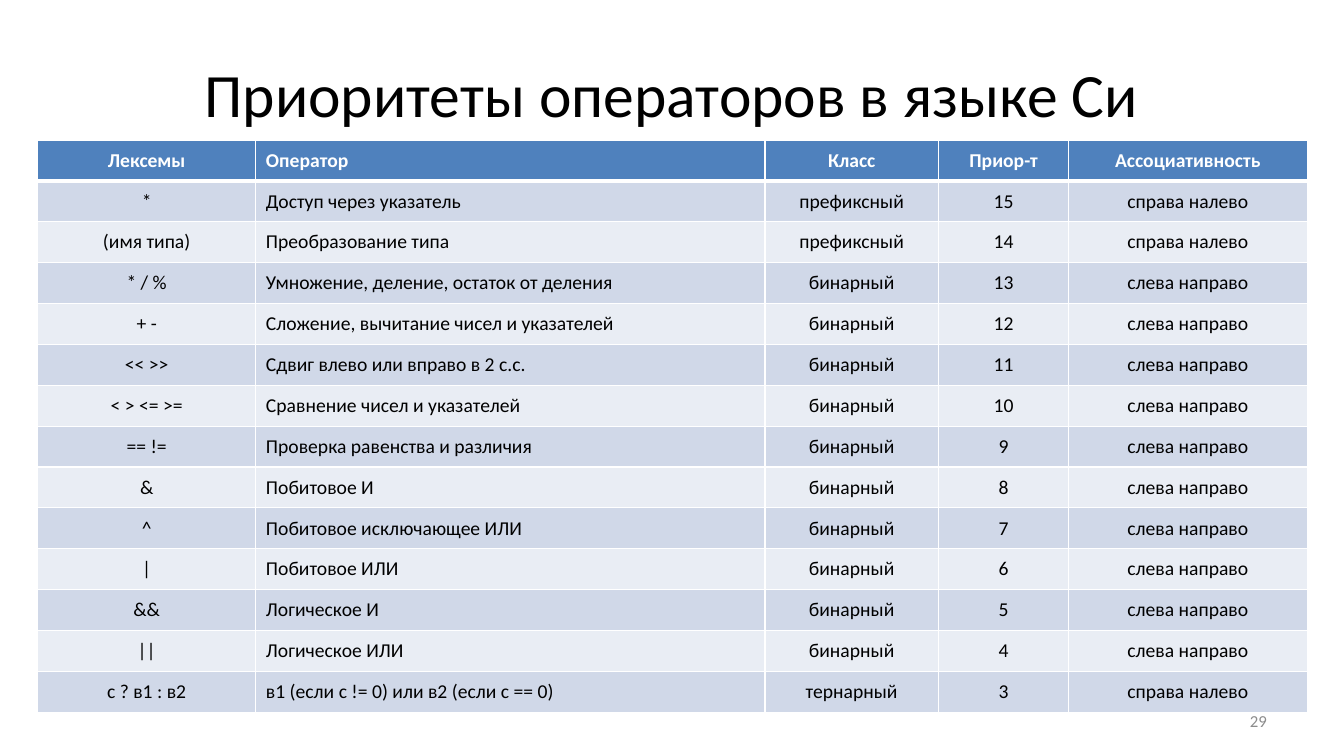
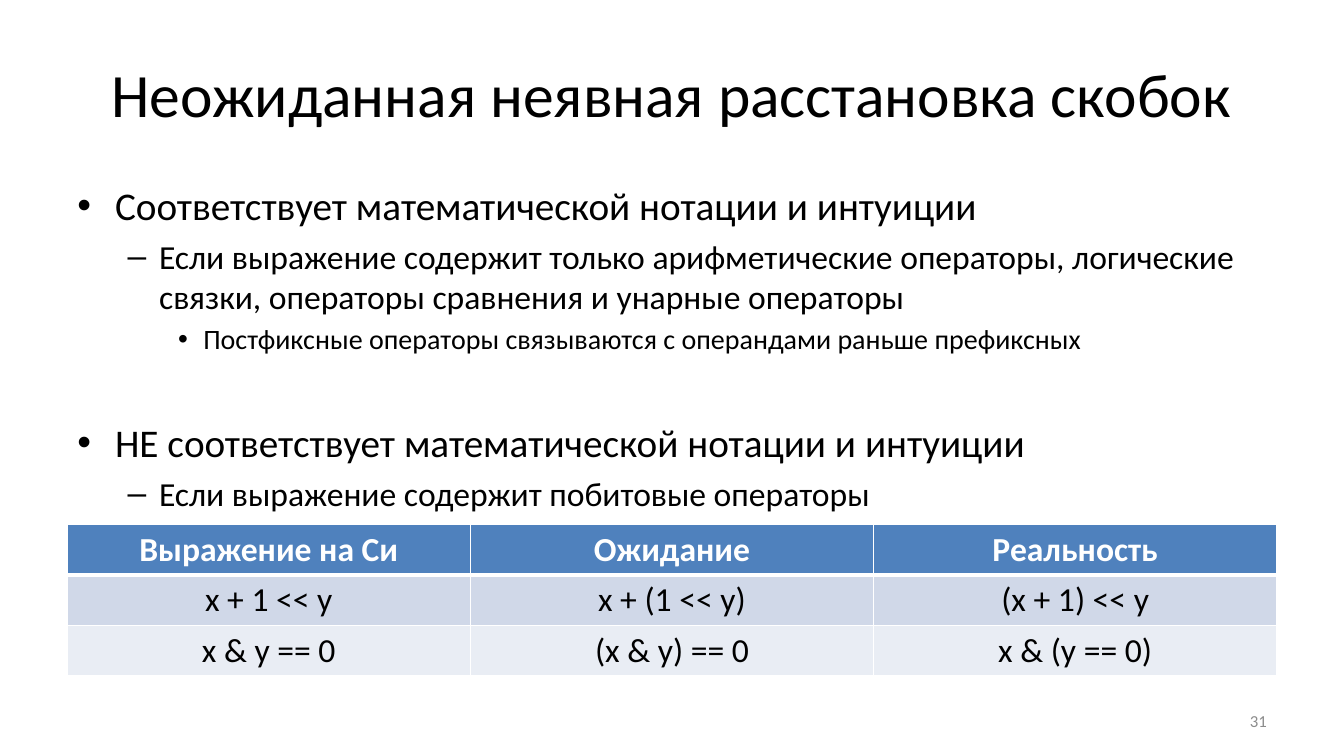
from lxml import etree
from pptx import Presentation
from pptx.dml.color import RGBColor
from pptx.enum.text import MSO_ANCHOR, MSO_AUTO_SIZE, PP_ALIGN
from pptx.oxml.ns import qn
from pptx.util import Pt

LEFT, CENTER, RIGHT = PP_ALIGN.LEFT, PP_ALIGN.CENTER, PP_ALIGN.RIGHT
TOP, MIDDLE = MSO_ANCHOR.TOP, MSO_ANCHOR.MIDDLE
NO_AUTOFIT = MSO_AUTO_SIZE.NONE

TITLE_ONLY, TITLE_AND_BODY = 5, 1  # layout positions in the template
MARGIN, CONTENT_WIDTH = 48, 864
FONT = "Calibri"
COLORS = {
    "text": "000000",
    "white": "FFFFFF",
    "header": "4F81BD",
    "odd_row": "D0D8E8",
    "even_row": "E9EDF4",
    "number": "8C8C8C",
}
BODY_SIZES = (28, 24, 20)  # by list level


class Deck:
    """Holds the shared style and the current slide."""

    def __init__(self):
        self.presentation = Presentation()
        self.presentation.slide_width = Pt(960)
        self.presentation.slide_height = Pt(540)
        self.slide = None

    def style(self, paragraph, size, color="text", bold=False):
        for run in paragraph.runs:
            run.font.name = FONT
            run.font.size = Pt(size)
            run.font.bold = bold
            run.font.color.rgb = RGBColor.from_string(COLORS[color])

    def place(self, shape, left, top, width, height):
        shape.left, shape.top = Pt(left), Pt(top)
        shape.width, shape.height = Pt(width), Pt(height)

    def add_slide(self, layout, title, number):
        layouts = self.presentation.slide_layouts
        self.slide = self.presentation.slides.add_slide(layouts[layout])
        self.add_title(title)
        self.add_number(number)

    def add_title(self, text):
        shape = self.slide.shapes.title
        self.place(shape, MARGIN, 21.6, CONTENT_WIDTH, 90)
        frame = shape.text_frame
        frame.text = text
        frame.auto_size = NO_AUTOFIT
        frame.vertical_anchor = MIDDLE
        frame.paragraphs[0].alignment = CENTER
        self.style(frame.paragraphs[0], 44)

    def add_number(self, number):
        box = self.slide.shapes.add_textbox(Pt(688), Pt(500.5), Pt(224), Pt(28.75))
        frame = box.text_frame
        frame.word_wrap = True
        frame.vertical_anchor = MIDDLE
        frame.text = str(number)
        frame.paragraphs[0].alignment = RIGHT
        self.style(frame.paragraphs[0], 12, "number")

    def add_list(self, items):
        """Fill the body with (level, text, space before) items."""
        shape = self.slide.placeholders[1]
        self.place(shape, MARGIN, 126, CONTENT_WIDTH, 356.4)
        frame = shape.text_frame
        frame.text = "\n".join(text for _, text, _ in items)
        frame.auto_size = NO_AUTOFIT
        for paragraph, (level, _, space) in zip(frame.paragraphs, items):
            paragraph.level = level
            paragraph.space_before = Pt(space)
            self.style(paragraph, BODY_SIZES[level])

    def add_borders(self, cell, top, bottom):
        properties = cell._tc.get_or_add_tcPr()
        for side, width in (("L", 1), ("R", 1), ("T", top), ("B", bottom)):
            line = etree.SubElement(properties, qn(f"a:ln{side}"), w=str(Pt(width)))
            fill = etree.SubElement(line, qn("a:solidFill"))
            etree.SubElement(fill, qn("a:srgbClr"), val=COLORS["white"])

    def add_table(self, rows, left, top, widths, row_height, size, anchor,
                  left_columns=()):
        table = self.slide.shapes.add_table(
            len(rows), len(widths), Pt(left), Pt(top),
            Pt(sum(widths)), Pt(row_height * len(rows))).table
        for column, width in zip(table.columns, widths):
            column.width = Pt(width)
        for row_index, values in enumerate(rows):
            table.rows[row_index].height = Pt(row_height)
            is_header = row_index == 0
            band = "odd_row" if row_index % 2 else "even_row"
            for column_index, value in enumerate(values):
                cell = table.cell(row_index, column_index)
                # A thick line separates the header from the first row
                self.add_borders(cell, 3 if row_index == 1 else 1,
                                 3 if is_header else 1)
                cell.fill.solid()
                cell.fill.fore_color.rgb = RGBColor.from_string(
                    COLORS["header" if is_header else band])
                cell.vertical_anchor = anchor
                cell.text = value
                paragraph = cell.text_frame.paragraphs[0]
                paragraph.alignment = LEFT if column_index in left_columns else CENTER
                self.style(paragraph, size, "white" if is_header else "text", is_header)


def add_priorities_slide(deck):
    deck.add_slide(TITLE_ONLY, "Приоритеты операторов в языке Си", 29)
    prefix, binary, ternary = "префиксный", "бинарный", "тернарный"
    operators = [
        ("*", "Доступ через указатель", prefix),
        ("(имя типа)", "Преобразование типа", prefix),
        ("* / %", "Умножение, деление, остаток от деления", binary),
        ("+ -", "Сложение, вычитание чисел и указателей", binary),
        ("<< >>", "Сдвиг влево или вправо в 2 с.с.", binary),
        ("< > <= >=", "Сравнение чисел и указателей", binary),
        ("== !=", "Проверка равенства и различия", binary),
        ("&", "Побитовое И", binary),
        ("^", "Побитовое исключающее ИЛИ", binary),
        ("|", "Побитовое ИЛИ", binary),
        ("&&", "Логическое И", binary),
        ("||", "Логическое ИЛИ", binary),
        ("с ? в1 : в2", "в1 (если с != 0) или в2 (если с == 0)", ternary),
    ]
    rows = [("Лексемы", "Оператор", "Класс", "Приор-т", "Ассоциативность")]
    # Priorities fall by one per row; only binary operators group from the left
    for index, (tokens, name, kind) in enumerate(operators):
        direction = "слева направо" if kind == binary else "справа налево"
        rows.append((tokens, name, kind, str(15 - index), direction))
    deck.add_table(rows, 26.8, 100, (156, 363.6, 124, 93, 170.4), 29.2, 14,
                   MIDDLE, left_columns=(1,))


def add_brackets_slide(deck):
    deck.add_slide(TITLE_AND_BODY, "Неожиданная неявная расстановка скобок", 31)
    deck.add_list([
        (0, "Соответствует математической нотации и интуиции", 0),
        (1, "Если выражение содержит только арифметические операторы, "
            "логические связки, операторы сравнения и унарные операторы", 5),
        (2, "Постфиксные операторы связываются с операндами раньше префиксных", 4),
        (0, "НЕ соответствует математической нотации и интуиции", 45),
        (1, "Если выражение содержит побитовые операторы", 5),
    ])
    deck.add_table([
        ("Выражение на Си", "Ожидание", "Реальность"),
        ("x + 1 << y", "x + (1 << y)", "(x + 1) << y"),
        ("x & y == 0", "(x & y) == 0", "x & (y == 0)"),
    ], MARGIN, 374.5, (CONTENT_WIDTH / 3,) * 3, 36, 24, TOP)


def main():
    deck = Deck()
    add_priorities_slide(deck)
    add_brackets_slide(deck)
    deck.presentation.save("out.pptx")


if __name__ == "__main__":
    main()
